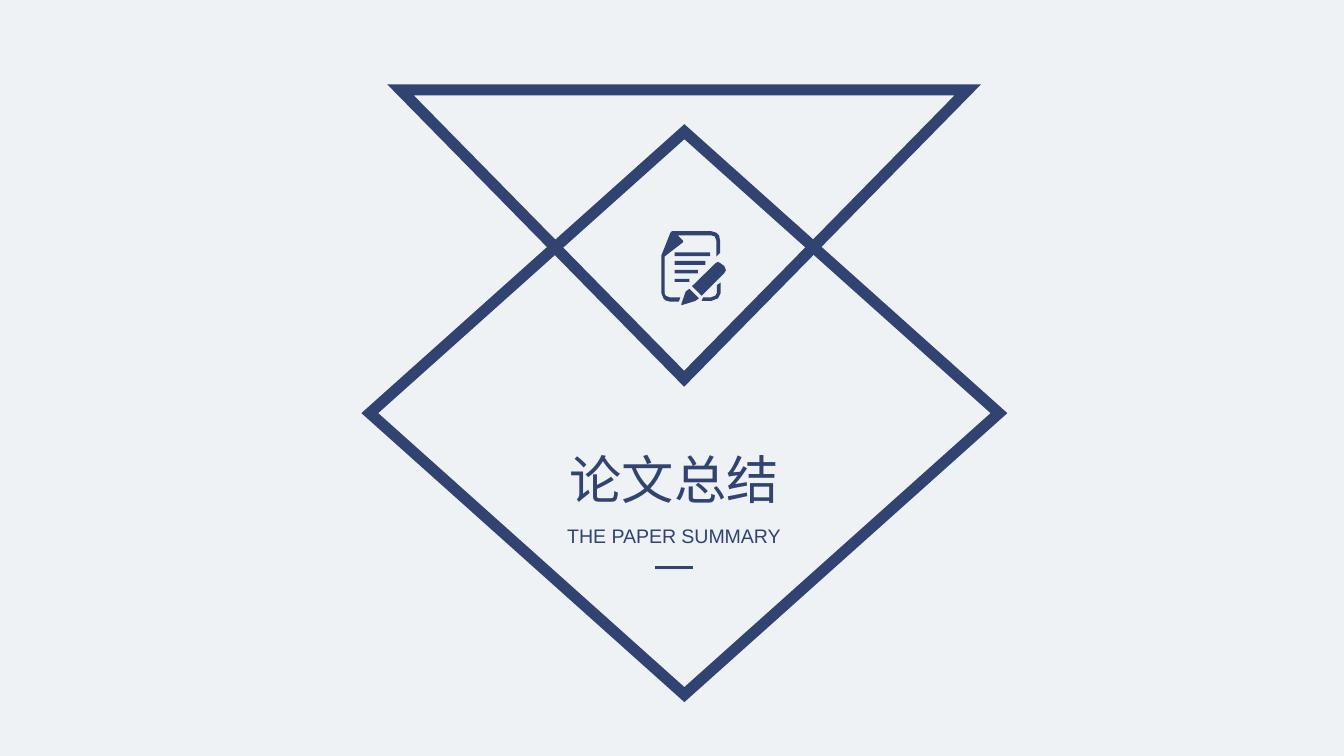
from lxml.etree import SubElement
from pptx import Presentation
from pptx.dml.color import RGBColor
from pptx.enum.shapes import MSO_CONNECTOR, MSO_SHAPE
from pptx.enum.text import MSO_AUTO_SIZE, PP_ALIGN
from pptx.oxml.ns import qn
from pptx.util import Cm, Pt

NAVY = RGBColor(0x30, 0x43, 0x71)
PALE = RGBColor(0xEE, 0xF2, 0xF5)

# text, font, size in points, then left, top, width, height in cm
TEXTS = [
    ("论文总结", "Noto Sans CJK SC", 28, (10.49, 8.33, 4.5, 1.45)),
    ("THE PAPER SUMMARY", "Arial", 10.5, (10.42, 9.78, 4.64, 0.71)),
]
RULE = (12.37, 10.72, 13.1, 10.72)
DIAMOND = (6.99, 2.49, 11.89, 10.64)

# Outlines are in hundredths of a centimetre
UNIT = Cm(0.01)
TRIANGLE = [(757, 170), (1829, 170), (1293, 716)]
ICON_ORIGIN = (Cm(12.5), Cm(4.37))
SHEET = [
    (8, 122), (6, 117), (6, 48), (41, 21), (41, 18), (31, 8), (94, 8),
    (101, 10), (104, 18), (104, 48), (111, 41), (111, 18), (109, 8),
    (104, 3), (94, 0), (20, 0), (17, 3), (0, 46), (0, 117), (4, 127),
    (8, 131), (15, 133), (33, 133), (36, 125), (15, 125),
]
SHEET_CORNER = [
    (102, 122), (94, 125), (79, 125), (76, 132), (94, 132), (107, 127),
    (112, 117), (112, 97), (105, 102), (105, 117),
]
PENCIL_BODY = [
    (58, 104), (102, 61), (107, 58), (112, 61), (119, 66), (122, 74),
    (119, 79), (76, 122),
]
PENCIL_TIP = [(53, 109), (46, 114), (38, 137), (38, 140), (64, 132), (71, 127)]
BAR_WIDTHS = [67, 58, 44, 28]
BAR_LEFT, BAR_TOP, BAR_STEP, BAR_HEIGHT = 25, 40, 16.5, 7


def add_outline(page, contours, origin=(0, 0)):
    """Draw closed contours as one freeform."""
    builder = page.shapes.build_freeform(*contours[0][0], scale=UNIT)
    for index, points in enumerate(contours):
        if index:
            builder.move_to(*points[0])
        builder.add_line_segments(points[1:], close=True)
    shape = builder.convert_to_shape(*origin)
    shape.shadow.inherit = False
    return shape


def style_frame(shape):
    """Leave the shape unfilled, with a thick, sharp-cornered line."""
    shape.shadow.inherit = False
    shape.fill.background()
    shape.line.color.rgb = NAVY
    shape.line.width = Pt(6)
    SubElement(shape.line._get_or_add_ln(), qn("a:miter"), lim="800000")


def add_text(page, text, font, size, place):
    box = page.shapes.add_textbox(*map(Cm, place))
    frame = box.text_frame
    frame.word_wrap = False
    frame.auto_size = MSO_AUTO_SIZE.SHAPE_TO_FIT_TEXT
    para = frame.paragraphs[0]
    para.alignment = PP_ALIGN.CENTER
    span = para.add_run()
    span.text = text
    span.font.name = font
    span.font.size = Pt(size)
    span.font.color.rgb = NAVY
    SubElement(span.font._element, qn("a:ea"), typeface=font)


def add_rule(page):
    rule = page.shapes.add_connector(MSO_CONNECTOR.STRAIGHT, *map(Cm, RULE))
    rule.line.color.rgb = NAVY
    rule.line.width = Pt(1.5)
    SubElement(rule._element.spPr, qn("a:effectLst"))


def add_icon(page):
    bars = []
    for row, width in enumerate(BAR_WIDTHS):
        top = BAR_TOP + row * BAR_STEP
        right, bottom = BAR_LEFT + width, top + BAR_HEIGHT
        bars.append([(BAR_LEFT, top), (right, top), (right, bottom), (BAR_LEFT, bottom)])
    contours = [SHEET, SHEET_CORNER, PENCIL_BODY, PENCIL_TIP, *bars]
    icon = add_outline(page, contours, ICON_ORIGIN)
    icon.fill.solid()
    icon.fill.fore_color.rgb = NAVY
    icon.line.fill.background()


def main():
    deck = Presentation()
    deck.slide_width, deck.slide_height = Cm(25.4), Cm(14.29)
    page = deck.slides.add_slide(deck.slide_layouts[6])
    page.background.fill.solid()
    page.background.fill.fore_color.rgb = PALE

    for entry in TEXTS:
        add_text(page, *entry)
    add_rule(page)
    style_frame(add_outline(page, [TRIANGLE]))
    style_frame(page.shapes.add_shape(MSO_SHAPE.DIAMOND, *map(Cm, DIAMOND)))
    add_icon(page)
    deck.save("out.pptx")


if __name__ == "__main__":
    main()
